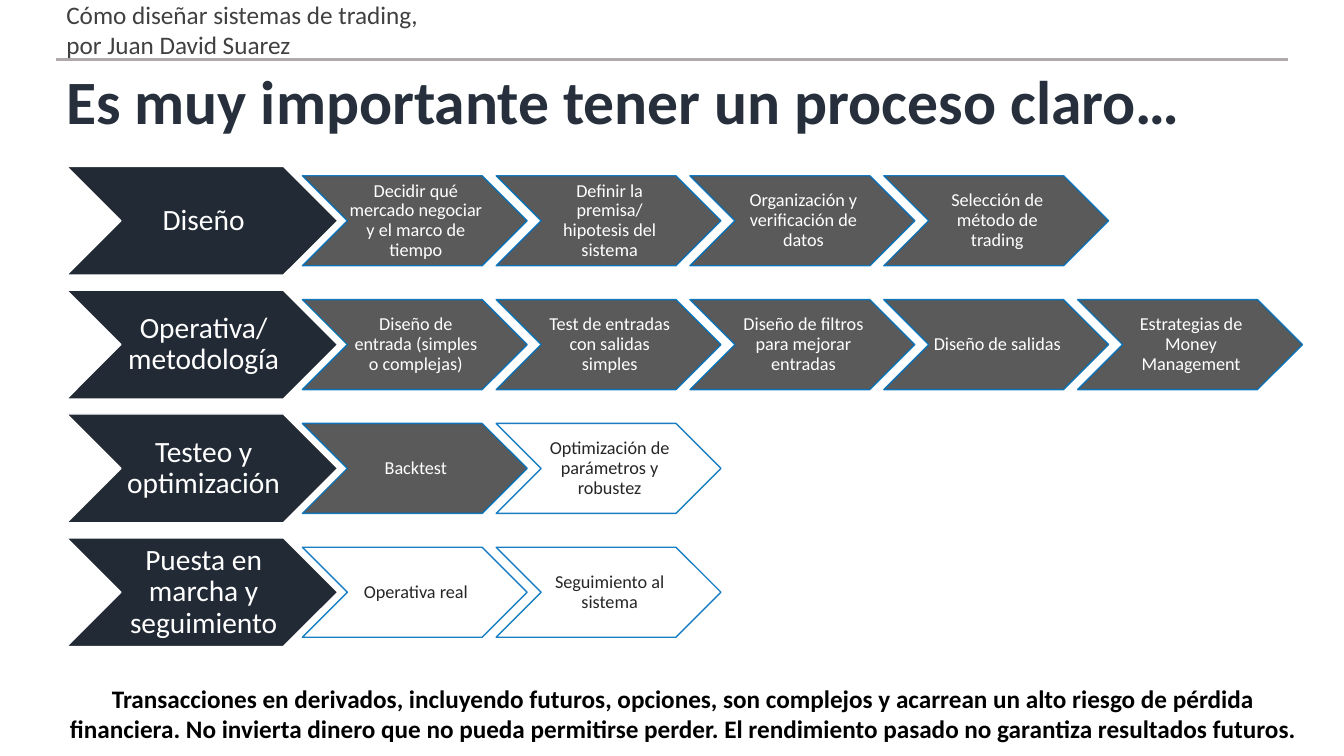
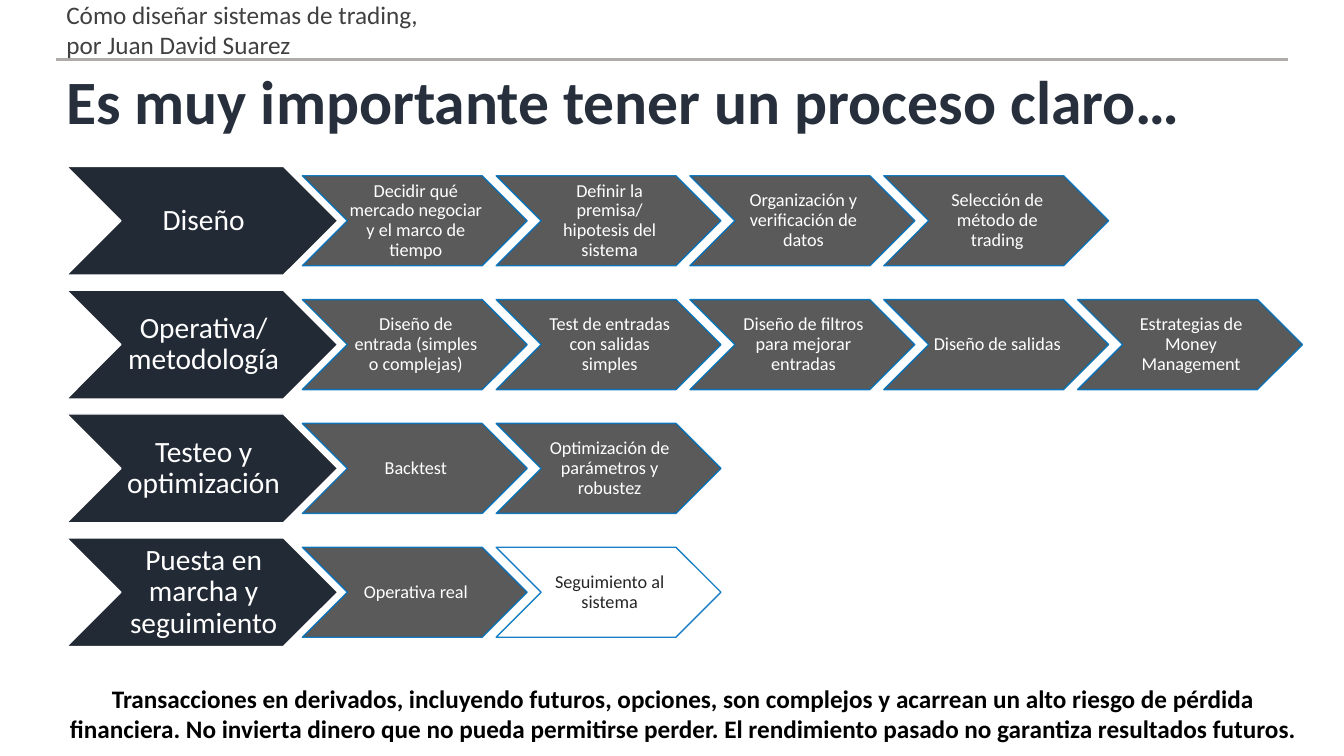
"""Build two slides that track progress through a trading system process."""
from lxml import etree
from pptx import Presentation
from pptx.dml.color import RGBColor
from pptx.enum.shapes import MSO_CONNECTOR, MSO_SHAPE
from pptx.enum.text import MSO_ANCHOR, PP_ALIGN
from pptx.oxml.ns import qn
from pptx.util import Inches, Pt

CHEVRON = MSO_SHAPE.CHEVRON
STRAIGHT = MSO_CONNECTOR.STRAIGHT
MIDDLE = MSO_ANCHOR.MIDDLE
LEFT, CENTER = PP_ALIGN.LEFT, PP_ALIGN.CENTER

HEADER = "Cómo diseñar sistemas de trading, por Juan David Suarez"
TITLE = "Es muy importante tener un proceso claro…"
FOOTER = (
    "Transacciones en derivados, incluyendo futuros, opciones, son complejos "
    "y acarrean un alto riesgo de pérdida financiera. No invierta dinero que "
    "no pueda permitirse perder. El rendimiento pasado no garantiza "
    "resultados futuros."
)
STAGES = [
    ("Diseño", [
        "Decidir qué mercado negociar y el marco de tiempo",
        "Definir la premisa/ hipotesis del sistema",
        "Organización y verificación de datos",
        "Selección de método de trading",
    ]),
    ("Operativa/ metodología", [
        "Diseño de entrada (simples o complejas)",
        "Test de entradas con salidas simples",
        "Diseño de filtros para mejorar entradas",
        "Diseño de salidas",
        "Estrategias de Money Management",
    ]),
    ("Testeo y optimización", [
        "Backtest",
        "Optimización de parámetros y robustez",
    ]),
    ("Puesta en marcha y seguimiento", [
        "Operativa real",
        "Seguimiento al sistema",
    ]),
]
DONE = [10, 12]


def tint(code):
    return RGBColor.from_string(code)


def apply(target, values):
    for name, value in values.items():
        setattr(target, name, value)


class Deck:
    font = "Calibri"
    navy, gray, blue = "222A35", "5A5A5A", "0071BD"
    white, dark = "FFFFFF", "262626"
    left, right = 4.2, 95.8
    col, row = 14.42, 16.38
    top = 29.2
    stage_box = (4.95, 20.18, 14.4)
    step_box = (22.5, 16.73, 11.9)

    def __init__(self):
        self.show = Presentation()
        apply(self.show, {"slide_width": Inches(13.33),
                          "slide_height": Inches(7.5)})
        self.slide = None

    def across(self, share):
        return int(self.show.slide_width * share / 100)

    def down(self, share):
        return int(self.show.slide_height * share / 100)

    def area(self, x, y, wide, high):
        return (self.across(x), self.down(y),
                self.across(wide), self.down(high))

    def put_text(self, shape, text, size, color, align=LEFT, bold=False,
                 space=1.0, inset=None):
        frame = shape.text_frame
        apply(frame, {"word_wrap": True, "vertical_anchor": MIDDLE})
        if inset is not None:
            apply(frame, {"margin_left": Inches(inset), "margin_right": 0,
                          "margin_top": Inches(0.01),
                          "margin_bottom": Inches(0.01)})
        para = frame.paragraphs[0]
        apply(para, {"alignment": align, "line_spacing": space})
        run = para.add_run()
        run.text = text
        apply(run.font, {"name": self.font, "size": Pt(size), "bold": bold})
        run.font.color.rgb = tint(color)

    def label(self, box, text, size, color, **style):
        shape = self.slide.shapes.add_textbox(*self.area(*box))
        self.put_text(shape, text, size, color, **style)

    def rule(self, y, color):
        line = self.slide.shapes.add_connector(
            STRAIGHT, self.across(self.left), self.down(y),
            self.across(self.right), self.down(y))
        line.line.width = Pt(1.5)
        line.line.color.rgb = tint(color)
        etree.SubElement(line._element.spPr, qn("a:effectLst"))

    def arrow(self, box, col, row, fill, edge):
        x, wide, high = box
        mid = self.top + row * self.row
        shape = self.slide.shapes.add_shape(CHEVRON, *self.area(
            x + col * self.col, mid - high / 2, wide, high))
        shape.shadow.inherit = False
        if fill:
            shape.fill.solid()
            shape.fill.fore_color.rgb = tint(fill)
        else:
            shape.fill.background()
        shape.line.width = Pt(1)
        shape.line.color.rgb = tint(edge)
        return shape

    def stage(self, row, text):
        shape = self.arrow(self.stage_box, 0, row, self.navy, self.white)
        self.put_text(shape, text, 21, self.white, CENTER,
                      space=0.9, inset=0.03)

    def step(self, col, row, text, done):
        fill, ink = (self.gray, self.white) if done else (None, self.dark)
        shape = self.arrow(self.step_box, col, row, fill, self.blue)
        color = shape._element.spPr.xpath("a:ln//a:srgbClr")[0]
        etree.SubElement(color, qn("a:alpha"), val="90000")
        self.put_text(shape, text, 13, ink, CENTER, space=0.9, inset=0.02)

    def page(self):
        self.slide = self.show.slides.add_slide(self.show.slide_layouts[6])
        self.rule(7.87, "AFABAB")
        self.label((self.left, 1.6, 29.5, 4.5), HEADER, 18, "404040")
        self.label((self.left, 90.13, 93.3, 8.4), FOOTER, 18, "000000",
                   align=CENTER, bold=True)
        self.label((self.left, 8.53, 91.5, 10.53), TITLE, 44, "262F3B",
                   bold=True, space=0.9)

    def process(self, done):
        count = 0
        for row, (name, steps) in enumerate(STAGES):
            self.stage(row, name)
            for col, text in enumerate(steps):
                self.step(col, row, text, count < done)
                count += 1


def main():
    deck = Deck()
    for done in DONE:
        deck.page()
        deck.process(done)
    deck.show.save("out.pptx")


if __name__ == "__main__":
    main()
